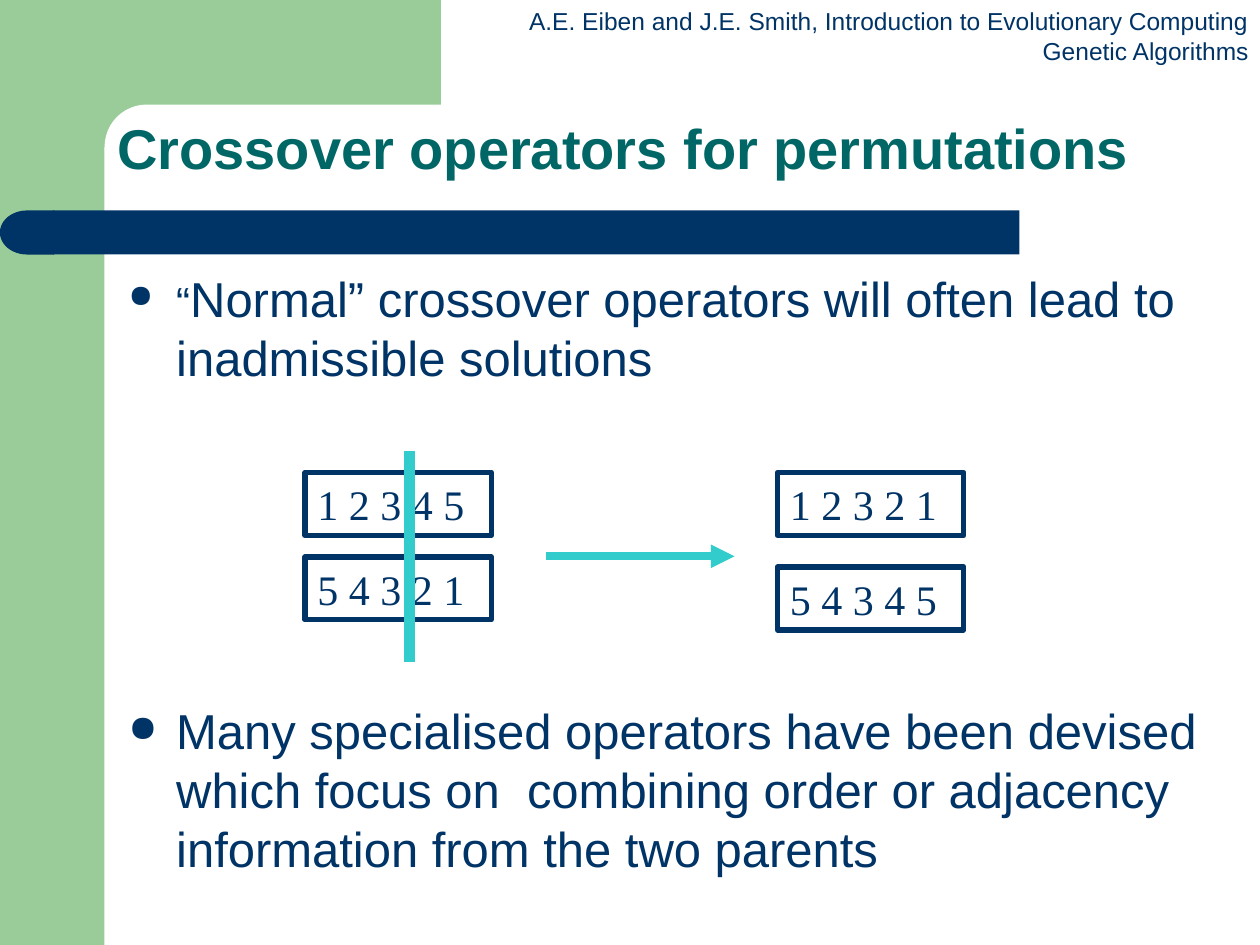
from lxml import etree
from pptx import Presentation
from pptx.dml.color import RGBColor
from pptx.enum.shapes import MSO_CONNECTOR as CONN, MSO_SHAPE as SHAPE
from pptx.enum.text import MSO_ANCHOR as ANCHOR, MSO_AUTO_SIZE as AUTO, PP_ALIGN as ALIGN
from pptx.oxml.ns import qn
from pptx.util import Inches, Pt

NAVY = RGBColor(0x00, 0x33, 0x66)
GREEN = RGBColor(0x99, 0xCC, 0x99)
TEAL = RGBColor(0x00, 0x66, 0x66)
AQUA = RGBColor(0x33, 0xCC, 0xCC)
WHITE = RGBColor(0xFF, 0xFF, 0xFF)


def place(sp, box):
    sp.left, sp.top, sp.width, sp.height = (Inches(v) for v in box)


def add_run(p, text, size, color=NAVY, font="Arial", bold=False):
    r = p.add_run()
    r.text = text
    r.font.size = Pt(size)
    r.font.name = font
    r.font.bold = bold
    r.font.color.rgb = color


def add_block(s, kind, box, color):
    sp = s.shapes.add_shape(kind, *(Inches(v) for v in box))
    sp.shadow.inherit = False
    sp.fill.solid()
    sp.fill.fore_color.rgb = color
    sp.line.fill.background()
    return sp


def add_line(s, start, end, width, arrow=False):
    points = [Inches(v) for v in (*start, *end)]
    line = s.shapes.add_connector(CONN.STRAIGHT, *points)
    line.line.color.rgb = AQUA
    line.line.width = Pt(width)
    if arrow:
        etree.SubElement(line.line._get_or_add_ln(), qn("a:tailEnd"), type="triangle")
    etree.SubElement(line.element.spPr, qn("a:effectLst"))


def add_bullet(p):
    pPr = p._p.get_or_add_pPr()
    pPr.set("marL", str(Inches(0.38)))
    pPr.set("indent", str(-Inches(0.38)))
    color = etree.SubElement(pPr, qn("a:buClr"))
    etree.SubElement(color, qn("a:srgbClr"), val=str(NAVY))
    etree.SubElement(pPr, qn("a:buSzPct"), val="75000")
    etree.SubElement(pPr, qn("a:buChar"), char="●")


def add_frame(s, width, height):
    add_block(s, SHAPE.RECTANGLE, (0, 0, 0.83, height), GREEN)
    add_block(s, SHAPE.RECTANGLE, (0.75, 0, 2.75, 1.17), GREEN)
    panel = add_block(s, SHAPE.ROUNDED_RECTANGLE, (0.83, 0.83, 5.58, 0.67), WHITE)
    panel.adjustments[0] = 0.5
    add_block(s, SHAPE.RECTANGLE, (0.42, 1.67, 7.67, 0.35), NAVY)
    cap = add_block(s, SHAPE.FLOWCHART_DELAY, (0, 1.67, 0.43, 0.35), NAVY)
    cap.element.spPr.find(qn("a:xfrm")).set("flipH", "1")


def add_header(s, box, lines):
    tf = s.shapes.add_textbox(*(Inches(v) for v in box)).text_frame
    tf.word_wrap = False
    for i, text in enumerate(lines):
        p = tf.add_paragraph() if i else tf.paragraphs[0]
        p.alignment = ALIGN.RIGHT
        add_run(p, text, 14)


def add_title(s, box, text):
    title = s.shapes.title
    s.shapes.element.append(title.element)
    place(title, box)
    tf = title.text_frame
    tf.vertical_anchor = ANCHOR.MIDDLE
    tf.auto_size = AUTO.NONE
    p = tf.paragraphs[0]
    p.alignment = ALIGN.LEFT
    p.line_spacing = 0.9
    add_run(p, text, 32, TEAL, bold=True)


def add_body(s, box, bullets):
    tf = s.shapes.add_textbox(*(Inches(v) for v in box)).text_frame
    tf.word_wrap = True
    for i, (space, runs) in enumerate(bullets):
        p = tf.add_paragraph() if i else tf.paragraphs[0]
        p.space_before = Pt(space)
        add_bullet(p)
        for text, size in runs:
            add_run(p, text, size)


def add_genome(s, box, text):
    sp = add_block(s, SHAPE.RECTANGLE, box, WHITE)
    sp.fill.background()
    sp.line.color.rgb = NAVY
    sp.line.width = Pt(3)
    tf = sp.text_frame
    tf.word_wrap = True
    tf.vertical_anchor = ANCHOR.TOP
    p = tf.paragraphs[0]
    p.alignment = ALIGN.LEFT
    add_run(p, text, 24, font="Times New Roman")


def add_crossover(s, box, parents, children):
    left, top, width, height = box
    genome_w, genome_h = 1.48, 0.5
    first = top + 0.17
    columns = ((left, 0.67, parents), (left + width - genome_w, 0.75, children))
    for x, pitch, genomes in columns:
        for i, text in enumerate(genomes):
            add_genome(s, (x, first + i * pitch, genome_w, genome_h), text)
    cut = left + 0.83
    add_line(s, (cut, top), (cut, top + height), 6)
    arrow_y = top + height / 2
    add_line(s, (left + 1.91, arrow_y), (left + 3.41, arrow_y), 4.5, arrow=True)


def main():
    prs = Presentation()
    prs.slide_width, prs.slide_height = Inches(10), Inches(7.5)
    s = prs.slides.add_slide(prs.slide_layouts[5])
    add_frame(s, 10, 7.5)
    add_header(s, (4.1, 0, 5.91, 0.57), [
        "A.E. Eiben and J.E. Smith, Introduction to Evolutionary Computing",
        "Genetic Algorithms",
    ])
    add_body(s, (0.92, 2.08, 8.75, 5.25), [
        (7, [("“", 24),
             ("Normal” crossover operators will often lead to inadmissible solutions", 28)]),
        (180, [("Many specialised operators have been devised which focus on  combining "
                "order or adjacency information from the two parents", 28)]),
    ])
    add_title(s, (0.83, 0.83, 8.75, 0.75), "Crossover operators for permutations")
    add_crossover(s, (2.42, 3.58, 5.23, 1.67),
                  ("1 2 3 4 5", "5 4 3 2 1"), ("1 2 3 2 1", "5 4 3 4 5"))
    prs.save("out.pptx")


if __name__ == "__main__":
    main()
